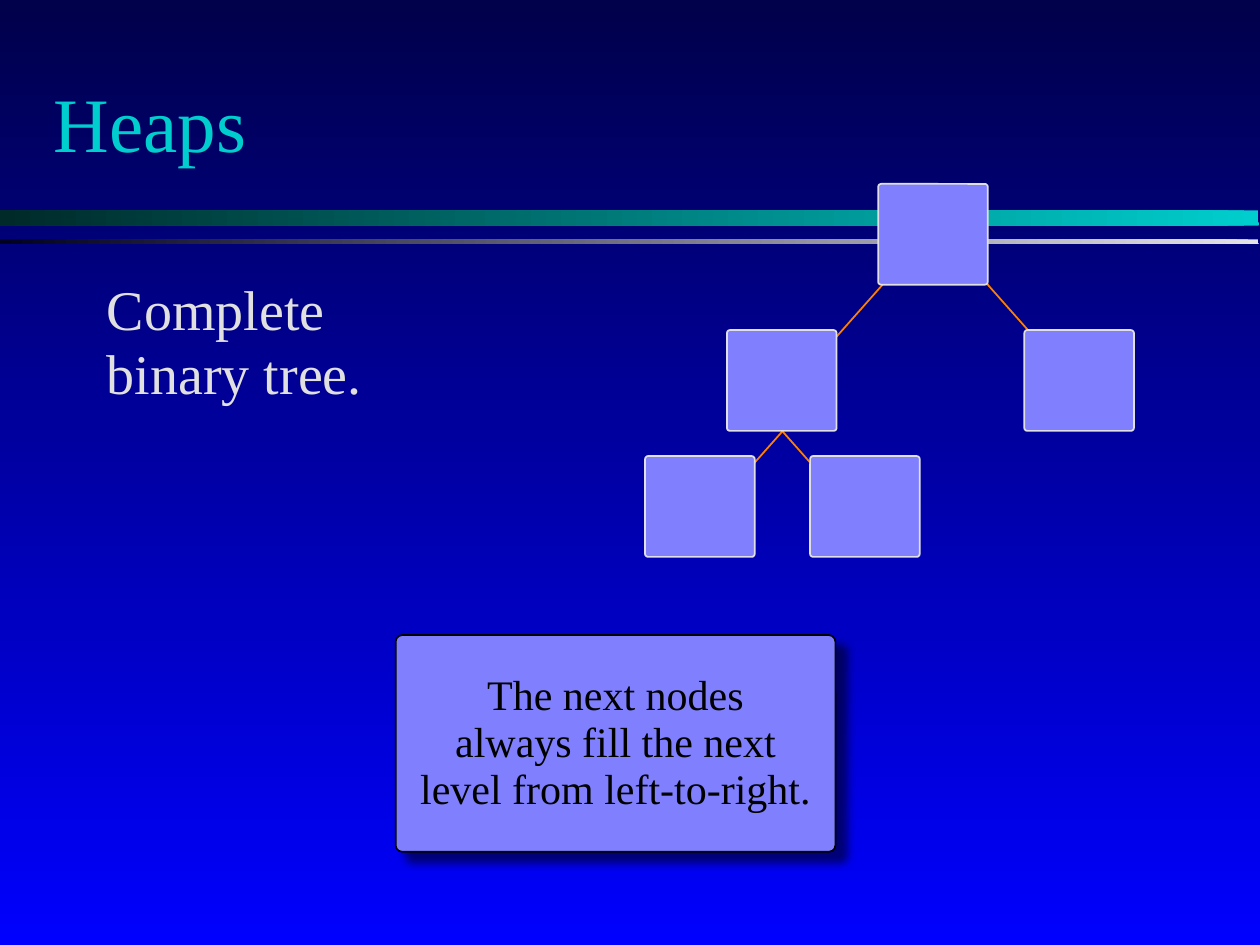
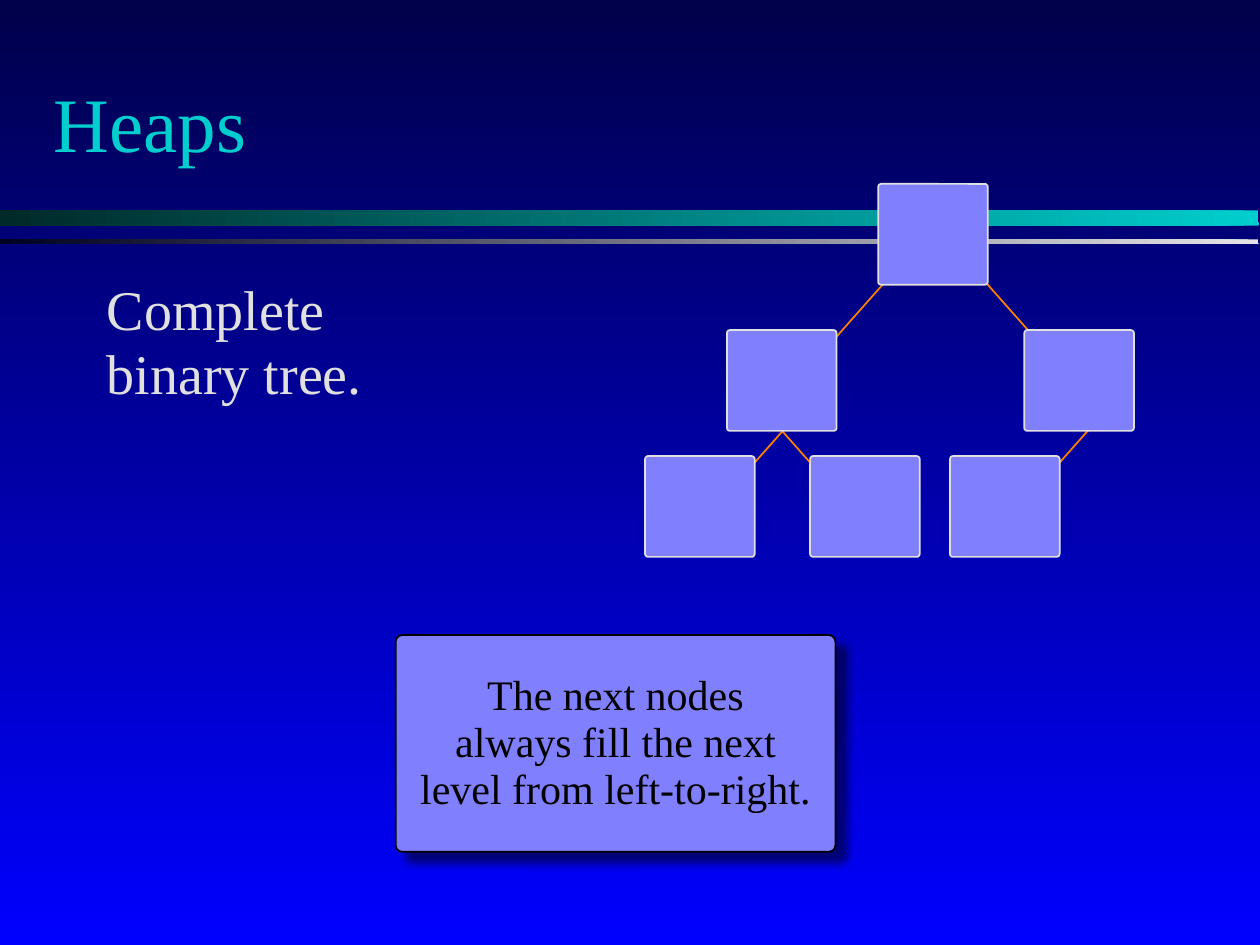
from dataclasses import dataclass
from lxml.etree import SubElement
from pptx import Presentation
from pptx.dml.color import RGBColor
from pptx.enum.shapes import MSO_CONNECTOR, MSO_SHAPE
from pptx.enum.text import MSO_ANCHOR, PP_ALIGN
from pptx.oxml.ns import qn
from pptx.util import Pt

PX = 9144  # EMU in one px, 100 px to the inch


@dataclass(frozen=True)
class Theme:
    font: str = "Times New Roman"
    title_size: int = 44
    body_size: int = 32
    note_size: int = 24
    sky: tuple = ("00004B", "0000FF")
    teal_band: tuple = ("00CECE", "002929")
    gray_band: tuple = ("E4E4E7", "000020")
    title: str = "00CECE"
    light: str = "E0E0E0"
    dark: str = "000000"
    box: str = "8080FF"
    edge: str = "FF8000"


@dataclass(frozen=True)
class Node:
    x: int
    y: int
    side: int = 0  # -1 left child, 1 right child, 0 root
    hook: tuple = (65, 30)  # where the edge from the parent ends in the box


THEME = Theme()
NODE_W, NODE_H = 87, 80
EDGE_DX, EDGE_DY = 62, 70

# Nodes in level order, relative to the tree's corner
HEAP = [
    Node(185, 0),
    Node(65, 116, -1),
    Node(301, 116, 1, (25, 25)),
    Node(0, 216, -1),
    Node(131, 216, 1, (22, 30)),
    Node(242, 216, -1),
]


def px(*lengths):
    return [n * PX for n in lengths]


def rgb(color):
    return RGBColor.from_string(color)


def set_gradient(fill, colors, angle):
    fill.gradient()
    fill.gradient_angle = angle
    for stop, color in zip(fill.gradient_stops, colors):
        stop.color.rgb = rgb(color)


def add_box(s, box, radius):
    sp = s.shapes.add_shape(MSO_SHAPE.ROUNDED_RECTANGLE, *px(*box))
    sp.adjustments[0] = radius
    sp.shadow.inherit = False
    return sp


def add_filled_box(s, box, line):
    sp = add_box(s, box, 0.03)
    sp.fill.solid()
    sp.fill.fore_color.rgb = rgb(THEME.box)
    sp.line.color.rgb = rgb(line)
    sp.line.width = Pt(1)
    return sp


def add_text(s, box, text, size, color, spacing=0.95,
             align=PP_ALIGN.LEFT, anchor=MSO_ANCHOR.MIDDLE):
    tf = s.shapes.add_textbox(*px(*box)).text_frame
    tf.word_wrap = True
    tf.vertical_anchor = anchor
    tf.text = text
    for p in tf.paragraphs:
        p.alignment = align
        p.line_spacing = spacing
        for r in p.runs:
            r.font.name = THEME.font
            r.font.size = Pt(size)
            r.font.color.rgb = rgb(color)


def add_bands(s, x, y, w):
    for dy, h, colors in ((0, 12, THEME.teal_band), (23, 4, THEME.gray_band)):
        sp = add_box(s, (x, y + dy, w, h), 0.01)
        set_gradient(sp.fill, colors, 180)
        sp.line.fill.background()


def add_edge(s, end_x, end_y, side):
    start = px(end_x - side * EDGE_DX, end_y - EDGE_DY)
    cxn = s.shapes.add_connector(MSO_CONNECTOR.STRAIGHT, *start, *px(end_x, end_y))
    cxn.line.color.rgb = rgb(THEME.edge)
    cxn.line.width = Pt(1)
    SubElement(cxn._element.spPr, qn("a:effectLst"))


def add_tree(s, x, y, nodes):
    # Last level first, so that parents cover the starts of their edges
    for node in reversed(nodes):
        left, top = x + node.x, y + node.y
        if node.side:
            add_edge(s, left + node.hook[0], top + node.hook[1], node.side)
        add_filled_box(s, (left, top, NODE_W, NODE_H), THEME.light)


def add_drop_shadow(sp):
    effects = sp._element.spPr.find(qn("a:effectLst"))
    shadow = SubElement(effects, qn("a:outerShdw"), blurRad=str(Pt(5)),
                        dist=str(Pt(8.5)), dir=str(45 * 60000), rotWithShape="0")
    color = SubElement(shadow, qn("a:srgbClr"), val=THEME.dark)
    SubElement(color, qn("a:alpha"), val="50000")


def add_note(s, x, y, w, h, text):
    add_drop_shadow(add_filled_box(s, (x, y, w, h), THEME.dark))
    inset = 7
    add_text(s, (x + inset, y + inset, w - 2 * inset, h - 2 * inset), text,
             THEME.note_size, THEME.dark, 0.93, PP_ALIGN.CENTER)


def add_heap_slide(prs, node_count):
    s = prs.slides.add_slide(prs.slide_layouts[6])
    add_bands(s, 0, 167, 999)
    # Title and statement
    add_text(s, (33, 38, 850, 125), "Heaps", THEME.title_size, THEME.title)
    add_text(s, (75, 217, 290, 450), "Complete binary tree.",
             THEME.body_size, THEME.light, anchor=MSO_ANCHOR.TOP)
    # Note and heap
    add_note(s, 314, 504, 349, 172,
             "The next nodes\nalways fill the next\nlevel from left-to-right.")
    add_tree(s, 512, 146, HEAP[:node_count])


def main():
    prs = Presentation()
    prs.slide_width, prs.slide_height = px(1000, 750)
    # Background shared by all slides
    set_gradient(prs.slide_master.background.fill, THEME.sky, 270)
    for node_count in (5, 6):
        add_heap_slide(prs, node_count)
    prs.save("out.pptx")


if __name__ == "__main__":
    main()
